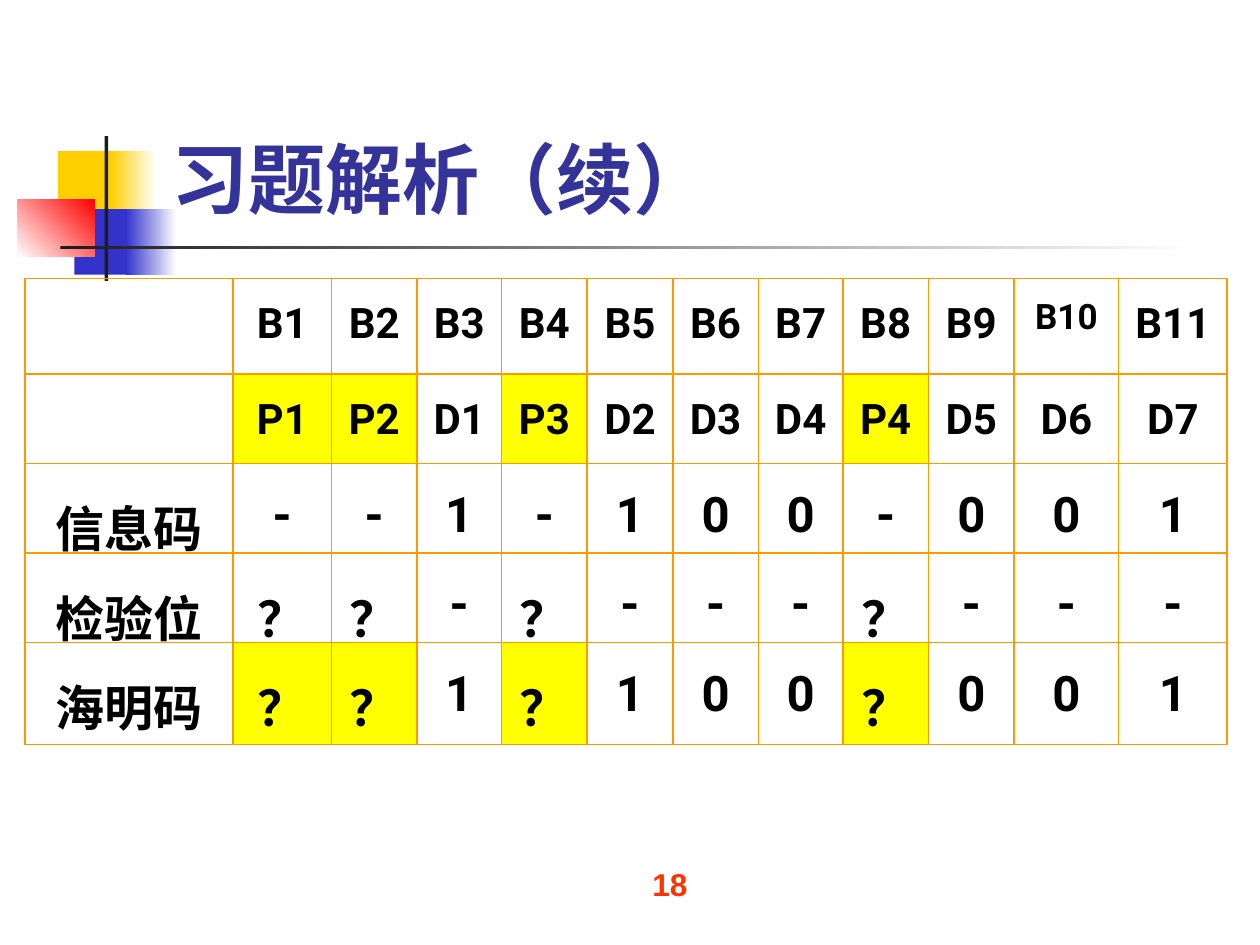
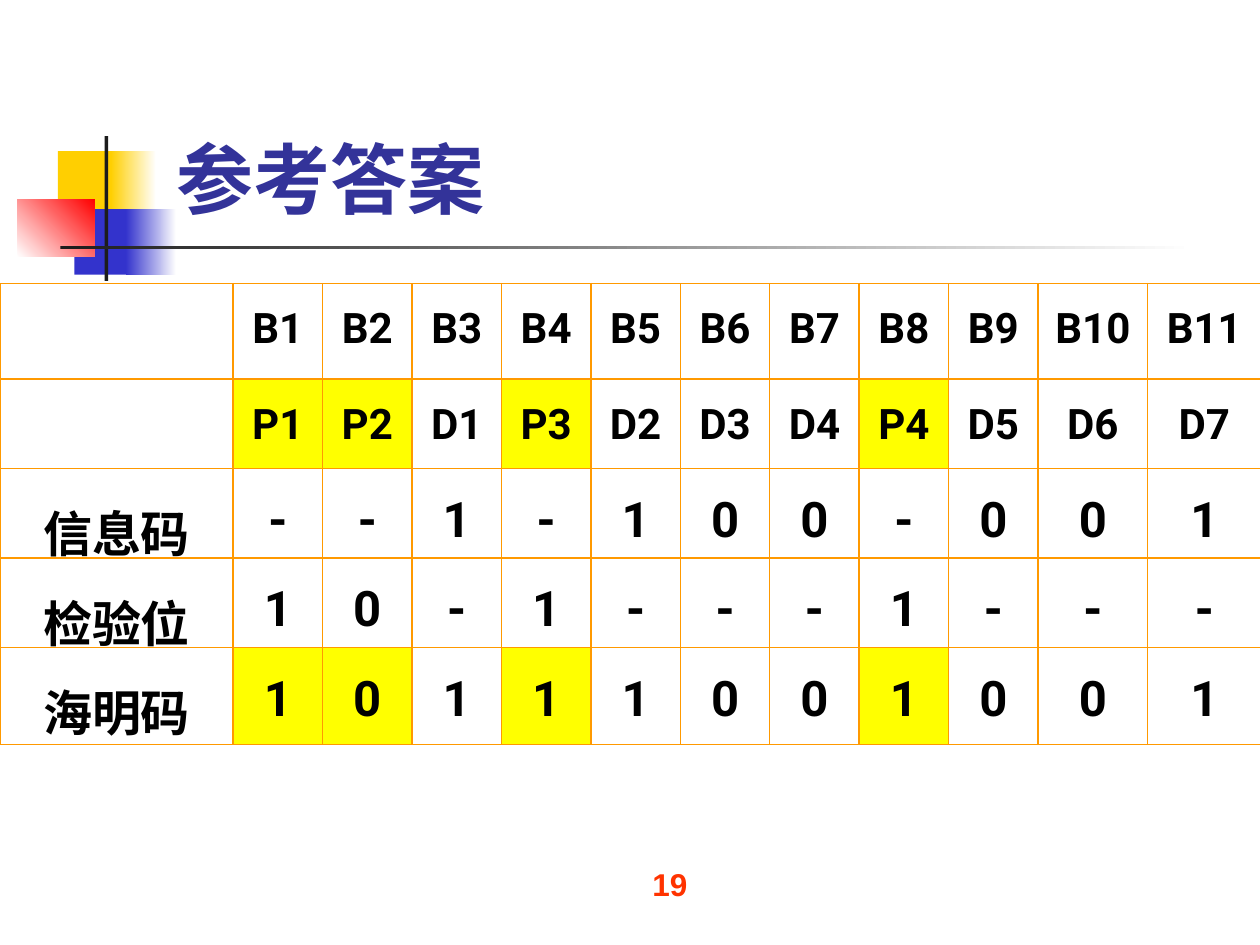
from lxml.etree import SubElement
from pptx import Presentation
from pptx.dml.color import RGBColor
from pptx.enum.lang import MSO_LANGUAGE_ID
from pptx.enum.shapes import MSO_SHAPE
from pptx.enum.text import MSO_ANCHOR, PP_ALIGN
from pptx.oxml import parse_xml
from pptx.oxml.ns import nsdecls, qn
from pptx.util import Inches, Pt

FONT = "Roboto"
ORANGE, YELLOW, WHITE, BLACK = "FF9900", "FFFF00", "FFFFFF", "000000"
GOLD, BLUE, RED, DARK = "FFCF01", "3333CC", "FF0000", "1C1C1C"
TITLE, NUMBER = "333399", "FF3300"

# left, top, width, height, start colour, end colour, angle
DECOR = [
    (0.46, 1.2, 0.48, 0.52, GOLD, None, 0),
    (0.88, 1.2, 0.36, 0.52, GOLD, WHITE, 0),
    (0.59, 1.66, 0.46, 0.52, BLUE, None, 0),
    (1, 1.66, 0.4, 0.52, BLUE, WHITE, 0),
    (0.14, 1.58, 0.61, 0.46, WHITE, RED, 45),
    (0.83, 1.08, 0.03, 1.15, DARK, None, 0),
    (0.48, 1.95, 9, 0.03, DARK, WHITE, 0),
]

HEAD = [
    ["", *(f"B{n}" for n in range(1, 12))],
    ["", *"P1 P2 D1 P3 D2 D3 D4 P4 D5 D6 D7".split()],
    ["信息码", *"--1-100-001"],
]
CHECK_COLS = {1, 2, 4, 8}
CHECK_ROWS = {1, 4}


def color(code):
    return RGBColor.from_string(code)


def inches(box):
    return [Inches(v) for v in box]


def style(para, size, code, font=FONT):
    for run in para.runs:
        run.font.size = Pt(size)
        run.font.name = font
        run.font.bold = True
        run.font.color.rgb = color(code)
        run.font.language_id = MSO_LANGUAGE_ID.SIMPLIFIED_CHINESE


def add_decor(slide, layout):
    """Draw the corner blocks and rule, then move them to the layout."""
    for holder in list(layout.placeholders)[1:]:
        layout.shapes.element.remove(holder.element)
    for *box, start, end, angle in DECOR:
        block = slide.shapes.add_shape(MSO_SHAPE.RECTANGLE, *inches(box))
        block.shadow.inherit = False
        block.line.fill.background()
        if end:
            block.fill.gradient()
            block.fill.gradient_angle = angle
            for stop, code in zip(block.fill.gradient_stops, (start, end)):
                stop.color.rgb = color(code)
        else:
            block.fill.solid()
            block.fill.fore_color.rgb = color(start)
        layout.shapes.element.append(block.element)


def add_title(slide, text, box):
    title = slide.shapes.title
    title.left, title.top, title.width, title.height = inches(box)
    frame = title.text_frame
    frame.text = text
    frame.vertical_anchor = MSO_ANCHOR.BOTTOM
    frame.paragraphs[0].alignment = PP_ALIGN.LEFT
    style(frame.paragraphs[0], 44, TITLE)


def add_number(slide, number):
    frame = slide.shapes.add_textbox(*inches((5.08, 6.82, 0.75, 0.4))).text_frame
    frame.word_wrap = True
    frame.text = str(number)
    style(frame.paragraphs[0], 18, NUMBER, "Arial")


def add_border(cell):
    props = cell._tc.get_or_add_tcPr()
    for at, side in enumerate(("lnL", "lnR", "lnT", "lnB")):
        line = parse_xml(f'<a:{side} {nsdecls("a")} w="{Pt(1)}"/>')
        fill = SubElement(line, qn("a:solidFill"))
        SubElement(fill, qn("a:srgbClr"), val=ORANGE)
        props.insert(at, line)


def fill_cell(cell, text, size, marked):
    if marked:
        cell.fill.solid()
        cell.fill.fore_color.rgb = color(YELLOW)
    else:
        cell.fill.background()
    add_border(cell)
    cell.text_frame.text = text
    para = cell.text_frame.paragraphs[0]
    para.alignment = PP_ALIGN.CENTER
    para.line_spacing = 1.3
    style(para, size, BLACK)


def add_codes(slide, box, widths, heights, rows, small=()):
    """Add the code table; words listed in small are set at 20 points."""
    table = slide.shapes.add_table(len(rows), len(widths), *inches(box)).table
    table.first_row = table.horz_banding = False
    for col, width in zip(table.columns, widths):
        col.width = Inches(width)
    for row, height in zip(table.rows, heights):
        row.height = Inches(height)
    for r, row in enumerate(rows):
        for c, text in enumerate(row):
            size = 20 if text in small else 24 if r < 2 else 28
            marked = r in CHECK_ROWS and c in CHECK_COLS
            fill_cell(table.cell(r, c), text, size, marked)


def main():
    deck = Presentation()
    deck.slide_width, deck.slide_height = Inches(10), Inches(7.5)
    layout = deck.slide_layouts[5]

    task = deck.slides.add_slide(layout)
    add_decor(task, layout)
    add_number(task, 18)
    add_title(task, "习题解析（续）", (1.26, 0.23, 8.52, 1.6))
    add_codes(
        task, (0.2, 2.21, 9.53, 3.69),
        [1.65, 0.78, 0.68, 0.67, 0.68, 0.68, 0.68, 0.67, 0.68, 0.68, 0.83, 0.86],
        [0.76, 0.71, 0.71, 0.71, 0.81],
        HEAD + [["检验位", *"？？-？---？---"], ["海明码", *"？？1？100？001"]],
        small=("B10",))

    answer = deck.slides.add_slide(layout)
    add_number(answer, 19)
    add_title(answer, "参考答案", (1.3, 0.23, 8.48, 1.6))
    add_codes(
        answer, (0, 2.25, 10, 3.65),
        [1.85] + [0.71] * 9 + [0.87, 0.9],
        [0.76, 0.71, 0.71, 0.71, 0.77],
        HEAD + [["检验位", *"10-1---1---"], ["海明码", *"10111001001"]])

    deck.save("out.pptx")


if __name__ == "__main__":
    main()
